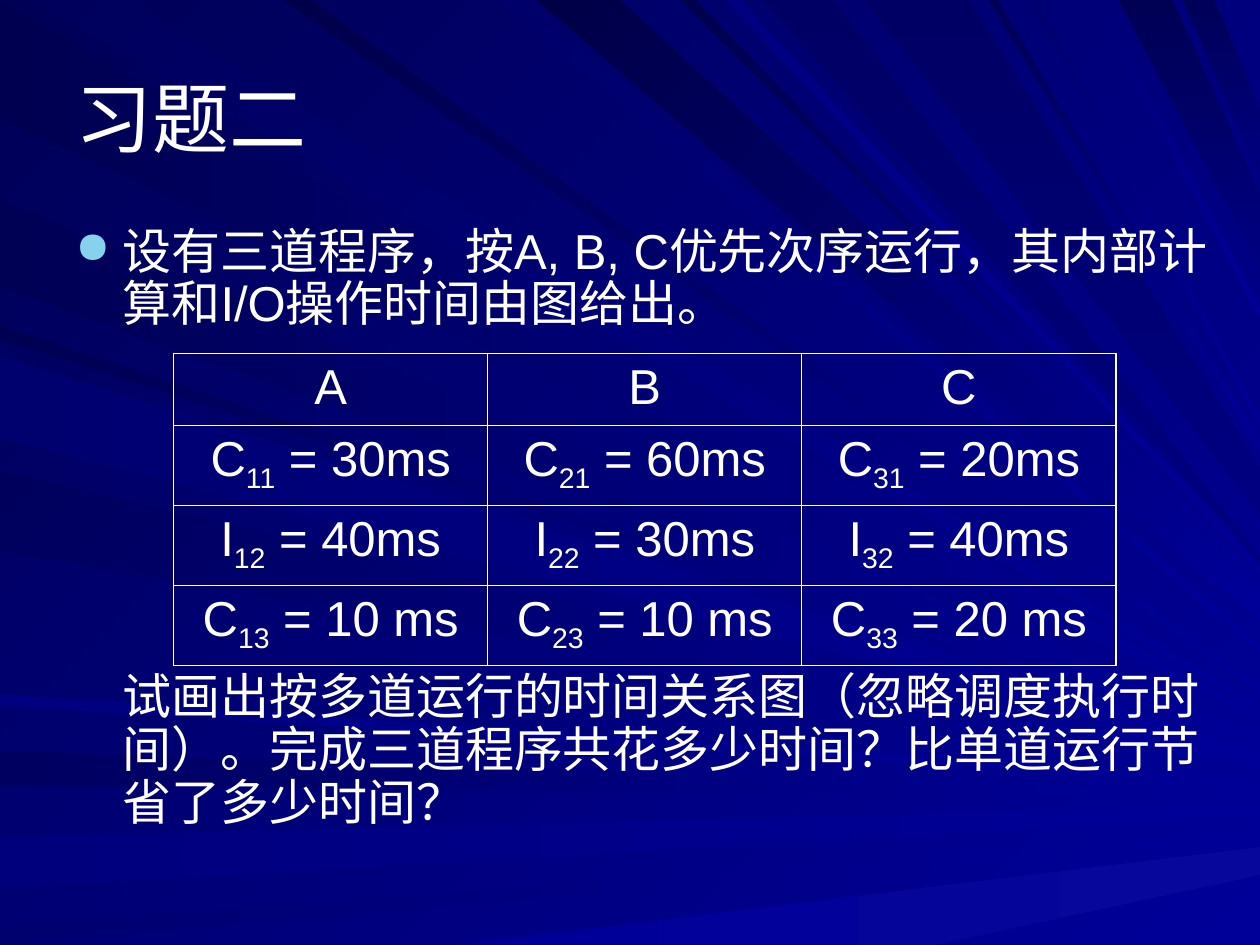
from lxml import etree
from pptx import Presentation
from pptx.dml.color import RGBColor
from pptx.enum import text
from pptx.oxml import ns
from pptx.util import Pt

WHITE = RGBColor(0xFF, 0xFF, 0xFF)
SKY = RGBColor(0x86, 0xD1, 0xEC)
DEEP = RGBColor(0, 0, 0x99)
MID = RGBColor(0, 0, 0x80)
NIGHT = RGBColor(0, 0, 0x57)
FONT = "Arial"
WIDTH, HEIGHT = 720, 540

# Rays run from the left or top edge to the right edge.
# Each: start, end along the first edge, height on the right edge,
# depth of blue at the far end, and the width on the right edge if not thin.
LEFT_STEEP = [(186, 194, 424, 0x53), (200, 246, 431, 0x60, 4), (269, 315, 436, 0x5C)]
LEFT_FLAT = [(1, 67, 410, 0x51), (114, 164, 421, 0x55), (429, 449, 454, 0x60),
             (479, 507, 463, 0x7C, 6), (529, 540, 477, 0x6E), (397, 403, 447, 0x81),
             (204, 250, 433, 0x6E, 4)]
TOP_STEEP = [(19, 73, 405, 0x5C), (287, 300, 371, 0x6A, 4), (307, 354, 345, 0x46, 20),
             (389, 397, 333, 0x4E), (162, 178, 394, 0x4A, 4), (415, 423, 326, 0x81),
             (565, 570, 255, 0x57, 4), (587, 593, 241, 0x6E), (623, 628, 179, 0x78, 6)]
TOP_DOWN = [(436, 476, 320, 0x64), (639, 670, 132, 0x55, 39), (676, 694, 82, 0x59, 38),
            (494, 554, 281, 0x64, 27)]

QUESTION = "设有三道程序，按A, B, C优先次序运行，其内部计算和I/O操作时间由图给出。"
TASK = ("试画出按多道运行的时间关系图（忽略调度执行时间）。"
        "完成三道程序共花多少时间？比单道运行节省了多少时间？")
PROGRAMS = {"A": ("30ms", "40ms", "10 ms"),
            "B": ("60ms", "30ms", "10 ms"),
            "C": ("20ms", "40ms", "20 ms")}
STEPS = "CIC"  # computing, I/O, computing


def paint(fill, angle, start, end):
    """Give a fill a two-colour gradient at a clockwise angle."""
    fill.gradient()
    fill.gradient_angle = 360 - angle
    for stop, colour in zip(fill.gradient_stops, (start, end)):
        stop.color.rgb = colour


def style(r, size):
    """Set the font of a run."""
    r.font.name, r.font.size, r.font.color.rgb = FONT, Pt(size), WHITE


def add_outline(group, points, angle, start, end):
    """Draw a closed outline with a gradient and no line."""
    outline = group.shapes.build_freeform(*points[0], scale=Pt(1))
    outline.add_line_segments(points[1:], close=True)
    sp = outline.convert_to_shape()
    sp.shadow.inherit = False
    sp.line.fill.background()
    paint(sp.fill, angle, start, end)


def add_ray(group, from_left, angle, near, far, y, level, spread=2):
    """Draw one ray that ends on the right edge around height y."""
    first = [(0, far), (0, near)] if from_left else [(near, 0), (far, 0)]
    points = first + [(WIDTH, y - spread / 2), (WIDTH, y + spread / 2)]
    shade = RGBColor(0, 0, level)
    colours = (shade, MID) if angle == 90 else (DEEP, shade)
    add_outline(group, points, angle, *colours)


def add_rays(s):
    """Draw the light rays behind everything else."""
    group = s.shapes.add_group_shape()
    for from_left, angle, rays in ((True, 225, LEFT_STEEP), (True, 180, LEFT_FLAT),
                                   (False, 225, TOP_STEEP), (False, 90, TOP_DOWN)):
        for ray in rays:
            add_ray(group, from_left, angle, *ray)
    beam = [(262, HEIGHT), (534, HEIGHT), (WIDTH, 500), (WIDTH, 484)]
    add_outline(group, beam, 180, RGBColor(7, 7, 0x9B), DEEP)
    s.shapes._spTree.insert(2, group._element)


def add_title(s, words):
    """Place and format the title."""
    sp = s.shapes.title
    sp.left, sp.top, sp.width, sp.height = Pt(36), Pt(21.6), Pt(648), Pt(90)
    tf = sp.text_frame
    tf.text = words
    tf.vertical_anchor = text.MSO_ANCHOR.MIDDLE
    tf.paragraphs[0].alignment = text.PP_ALIGN.LEFT
    style(tf.paragraphs[0].runs[0], 44)


def add_bullet(p):
    """Hang a round bullet in front of a paragraph."""
    pPr = p._p.get_or_add_pPr()
    pPr.set("indent", str(-Pt(27)))
    colour = etree.SubElement(pPr, ns.qn("a:buClr"))
    etree.SubElement(colour, ns.qn("a:srgbClr"), val=str(SKY))
    etree.SubElement(pPr, ns.qn("a:buSzPct"), val="90000")
    etree.SubElement(pPr, ns.qn("a:buChar"), char="●")


def add_body(s):
    """Write the question above and the task below the table."""
    sp = s.shapes.add_textbox(Pt(36), Pt(126), Pt(664.5), Pt(394))
    tf = sp.text_frame
    tf.word_wrap = True
    tf.text = f"{QUESTION}\n{TASK}"
    for p, gap in zip(tf.paragraphs, (7, 194)):
        p.line_spacing, p.space_before = 0.9, Pt(gap)
        p._p.get_or_add_pPr().set("marL", str(Pt(27)))
        style(p.runs[0], 28)
    add_bullet(tf.paragraphs[0])


def set_borders(cell, widths):
    """Draw white cell borders; widths go left, right, top, bottom."""
    tcPr = cell._tc.get_or_add_tcPr()
    for side, width in zip("LRTB", widths):
        ln = etree.SubElement(tcPr, ns.qn(f"a:ln{side}"), w=str(Pt(width)))
        fill = etree.SubElement(ln, ns.qn("a:solidFill"))
        etree.SubElement(fill, ns.qn("a:srgbClr"), val=str(WHITE))


def fill_cell(cell, parts):
    """Write a centred cell; the second part is a subscript."""
    p = cell.text_frame.paragraphs[0]
    p.alignment, p.space_before = text.PP_ALIGN.CENTER, Pt(7)
    for i, part in enumerate(parts):
        r = p.add_run()
        r.text = part
        style(r, 28)
        if i == 1:
            r._r.get_or_add_rPr().set("baseline", "-25000")


def add_times(s):
    """Add the table of running times, one program a column."""
    rows, cols = len(STEPS) + 1, len(PROGRAMS)
    frame = s.shapes.add_table(rows, cols, Pt(99.2), Pt(202), Pt(538.5), Pt(178))
    table = frame.table
    table.first_row = table.horz_banding = False
    for i, row in enumerate(table.rows):
        row.height = Pt(45.7 if i else 41.2)
    for j, (name, times) in enumerate(PROGRAMS.items()):
        table.columns[j].width = Pt(179.5)
        for i in range(rows):
            cell = table.cell(i, j)
            edges = (j == 0, j == cols - 1, i == 0, i == rows - 1)
            set_borders(cell, [1.08 if edge else 0.45 for edge in edges])
            cell.fill.background()
            fill_cell(cell, (STEPS[i - 1], f"{j + 1}{i}", f" = {times[i - 1]}") if i else (name,))


def main():
    """Build the slide."""
    prs = Presentation()
    prs.slide_width, prs.slide_height = Pt(WIDTH), Pt(HEIGHT)
    s = prs.slides.add_slide(prs.slide_layouts[5])
    paint(s.background.fill, 225, DEEP, NIGHT)
    add_rays(s)
    add_title(s, "习题二")
    add_body(s)
    add_times(s)
    prs.save("out.pptx")


main()
